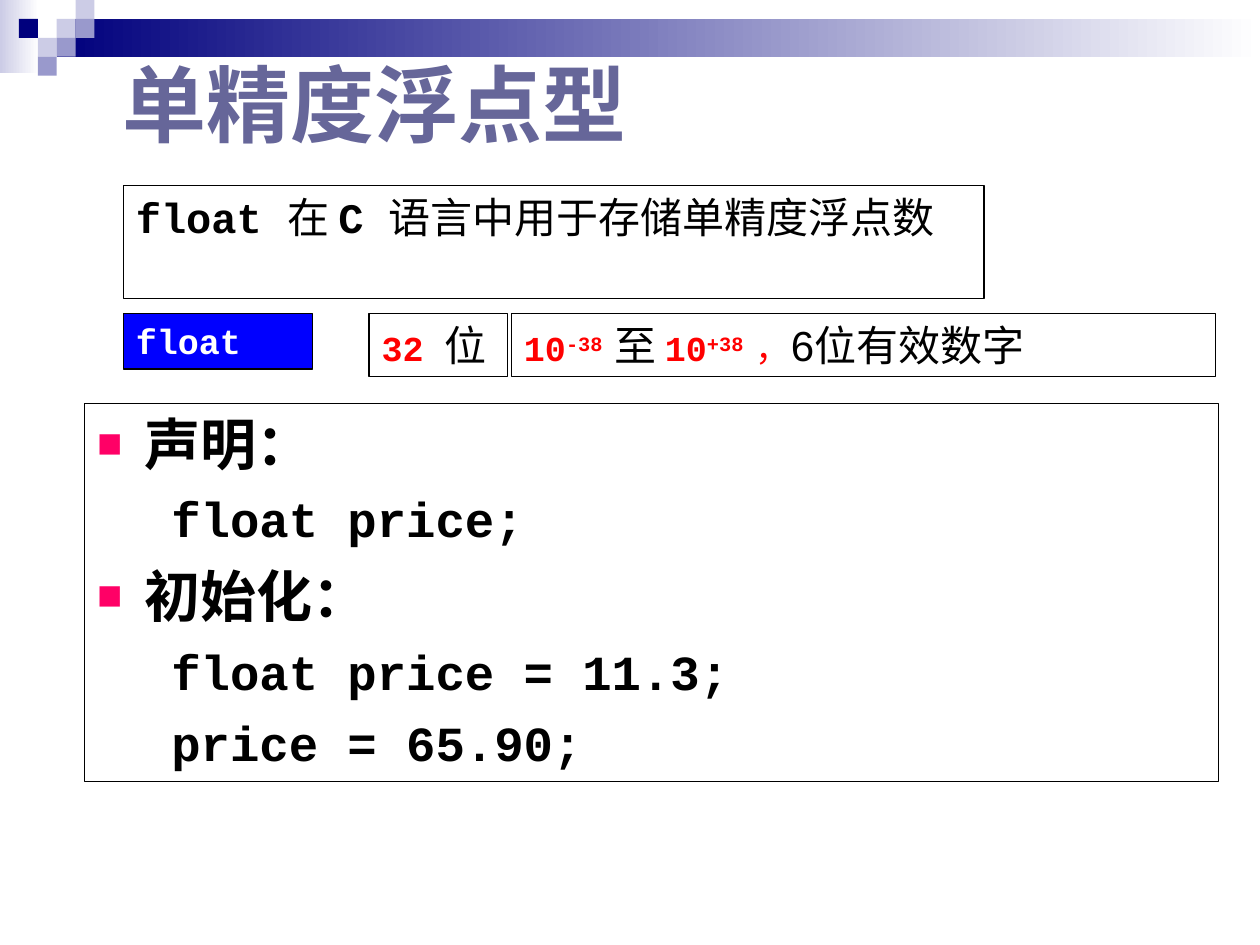
from lxml import etree
from pptx import Presentation
from pptx.dml.color import RGBColor
from pptx.enum.shapes import MSO_SHAPE
from pptx.enum.text import MSO_ANCHOR, MSO_AUTO_SIZE, PP_ALIGN
from pptx.oxml.ns import qn
from pptx.util import Pt

RECT = MSO_SHAPE.RECTANGLE
TOP, MIDDLE = MSO_ANCHOR.TOP, MSO_ANCHOR.MIDDLE
LEFT, JUSTIFY = PP_ALIGN.LEFT, PP_ALIGN.JUSTIFY
FIXED = MSO_AUTO_SIZE.NONE

PX = 9144  # 100 px to the inch
CELL = 15
MONO, SANS, HAN = "Courier New", "Arial", "Noto Sans CJK SC"

BLACK = RGBColor(0x00, 0x00, 0x00)
WHITE = RGBColor(0xFF, 0xFF, 0xFF)
RED = RGBColor(0xFF, 0x00, 0x00)
BLUE = RGBColor(0x00, 0x00, 0xFF)
NAVY = RGBColor(0x00, 0x00, 0x7D)
MIST = RGBColor(0xCC, 0xCC, 0xE6)
LILAC = RGBColor(0x99, 0x99, 0xCC)
SLATE = RGBColor(0x66, 0x66, 0x99)
PINK = "FF0066"

HEAD = dict(size=48, name=HAN, color=SLATE, bold=True)
CODE = dict(size=24, name=MONO, color=BLACK, bold=True)
WORD = dict(CODE, bold=False)
TAG = dict(CODE, size=20, color=WHITE)
MARK = dict(TAG, color=RED)
POWER = dict(MARK, base=30)
ITEM = dict(size=32, name=SANS, color=BLACK, bold=True)
LINE = dict(CODE, size=28)


def add_run(para, text, form):
    run = para.add_run()
    run.text = text
    font = run.font
    for key, val in form.items():
        if key == "color":
            font.color.rgb = val
        elif key == "size":
            font.size = Pt(val)
        elif key == "base":
            font._element.set("baseline", str(val * 1000))
        else:
            setattr(font, key, val)
    east = etree.SubElement(font._element, qn("a:ea"))
    east.set("typeface", HAN)


def place(shape, box):
    for key, val in zip(("left", "top", "width", "height"), box):
        setattr(shape, key, val * PX)


def set_frame(shape, anchor, wrap=True):
    form = dict(word_wrap=wrap, auto_size=FIXED, vertical_anchor=anchor)
    for key, val in form.items():
        setattr(shape.text_frame, key, val)


def outline(shape, fill):
    shape.fill.solid()
    shape.fill.fore_color.rgb = fill
    shape.line.color.rgb = BLACK
    shape.line.width = Pt(0.75)


def add_rect(slide, box):
    shape = slide.shapes.add_shape(RECT, *(val * PX for val in box))
    shape.shadow.inherit = False
    return shape


def add_fade(slide, box, start):
    shape = add_rect(slide, box)
    shape.line.fill.background()
    shape.fill.gradient()
    shape.fill.gradient_angle = 0
    for stop, color in zip(shape.fill.gradient_stops, (start, WHITE)):
        stop.color.rgb = color


def add_banner(slide, box):
    """Two fades with a checker of small squares over their joint."""
    left, top, width, height = box
    add_fade(slide, (left, top, 31, height), MIST)
    add_fade(slide, (left + 45, top + CELL, width - 45, 2 * CELL), NAVY)
    cells = [(3, 1, MIST), (4, 0, MIST), (4, 1, LILAC), (2, 2, MIST),
             (1, 1, NAVY), (3, 2, LILAC), (2, 3, LILAC)]
    for col, row, color in cells:
        spot = (left + col * CELL, top + row * CELL, CELL, CELL)
        shape = add_rect(slide, spot)
        shape.fill.solid()
        shape.fill.fore_color.rgb = color
        shape.line.fill.background()


def add_title(slide, box, text):
    title = slide.shapes.title
    place(title, box)
    set_frame(title, MIDDLE)
    para = title.text_frame.paragraphs[0]
    para.alignment = LEFT
    add_run(para, text, HEAD)


def add_note(slide, box, runs, fill=WHITE, align=LEFT, wrap=True):
    shape = add_rect(slide, box)
    outline(shape, fill)
    set_frame(shape, TOP, wrap)
    para = shape.text_frame.paragraphs[0]
    para.alignment = align
    for text, form in runs:
        add_run(para, text, form)


def add_row(slide, box):
    """Type name, its width in bits and its range, side by side."""
    left, top, width, height = box
    add_note(slide, (left, top, 150, 44), [("float", TAG)], fill=BLUE)
    add_note(slide, (left + 195, top, 110, height),
             [("32 ", MARK), ("位", WORD)], wrap=False)
    add_note(slide, (left + 308, top, width - 308, height),
             [("10", MARK), ("-38 ", POWER), ("至", WORD), (" 10", MARK),
              ("+38 ", POWER), ("，", dict(MARK, name=HAN, bold=False)),
              ("6", dict(WORD, name=SANS)),
              ("位有效数字", dict(WORD, name=HAN))])


def set_bullet(para, margin, indent, char=None):
    props = para._p.get_or_add_pPr()
    props.set("marL", str(margin * PX))
    props.set("indent", str(indent * PX))
    if char is None:
        etree.SubElement(props, qn("a:buNone"))
        return
    tint = etree.SubElement(props, qn("a:buClr"))
    etree.SubElement(tint, qn("a:srgbClr")).set("val", PINK)
    etree.SubElement(props, qn("a:buSzPct")).set("val", "75000")
    etree.SubElement(props, qn("a:buFont")).set("typeface", SANS)
    etree.SubElement(props, qn("a:buChar")).set("char", char)


def add_list(slide, box, items):
    body = slide.placeholders[1]
    place(body, box)
    outline(body, WHITE)
    set_frame(body, TOP)
    frame = body.text_frame
    for num, (level, text) in enumerate(items):
        para = frame.add_paragraph() if num else frame.paragraphs[0]
        para.level = level
        if level:
            set_bullet(para, 90, -31)
        else:
            set_bullet(para, 38, -38, "■")
        para.space_before = Pt((7 if level else 8) if num else 0)
        add_run(para, text, LINE if level else ITEM)


def main():
    deck = Presentation()
    deck.slide_width, deck.slide_height = 1000 * PX, 750 * PX
    slide = deck.slides.add_slide(deck.slide_layouts[1])
    add_banner(slide, (0, 0, 1000, 58))
    add_title(slide, (87, 31, 881, 102), "单精度浮点型")
    add_note(slide, (98, 147, 683, 90),
             [("float ", CODE), ("在 ", WORD), ("C ", CODE),
              ("语言中用于存储单精度浮点数", WORD)], align=JUSTIFY)
    add_row(slide, (98, 249, 867, 50))
    add_list(slide, (67, 320, 900, 300),
             [(0, "声明："), (1, "float price;"), (0, "初始化："),
              (1, "float price = 11.3;"), (1, "price = 65.90;")])
    deck.save("out.pptx")


if __name__ == "__main__":
    main()
